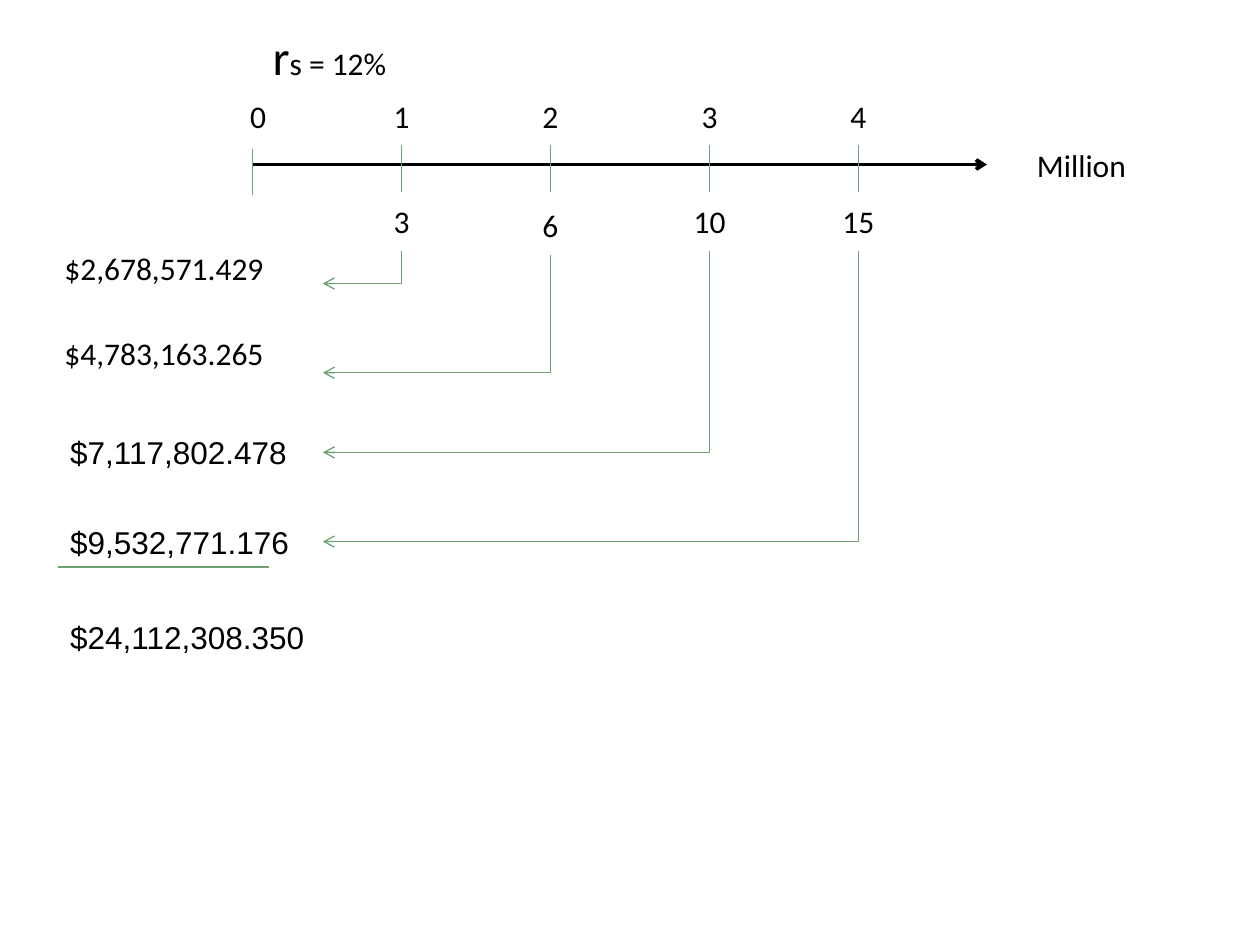
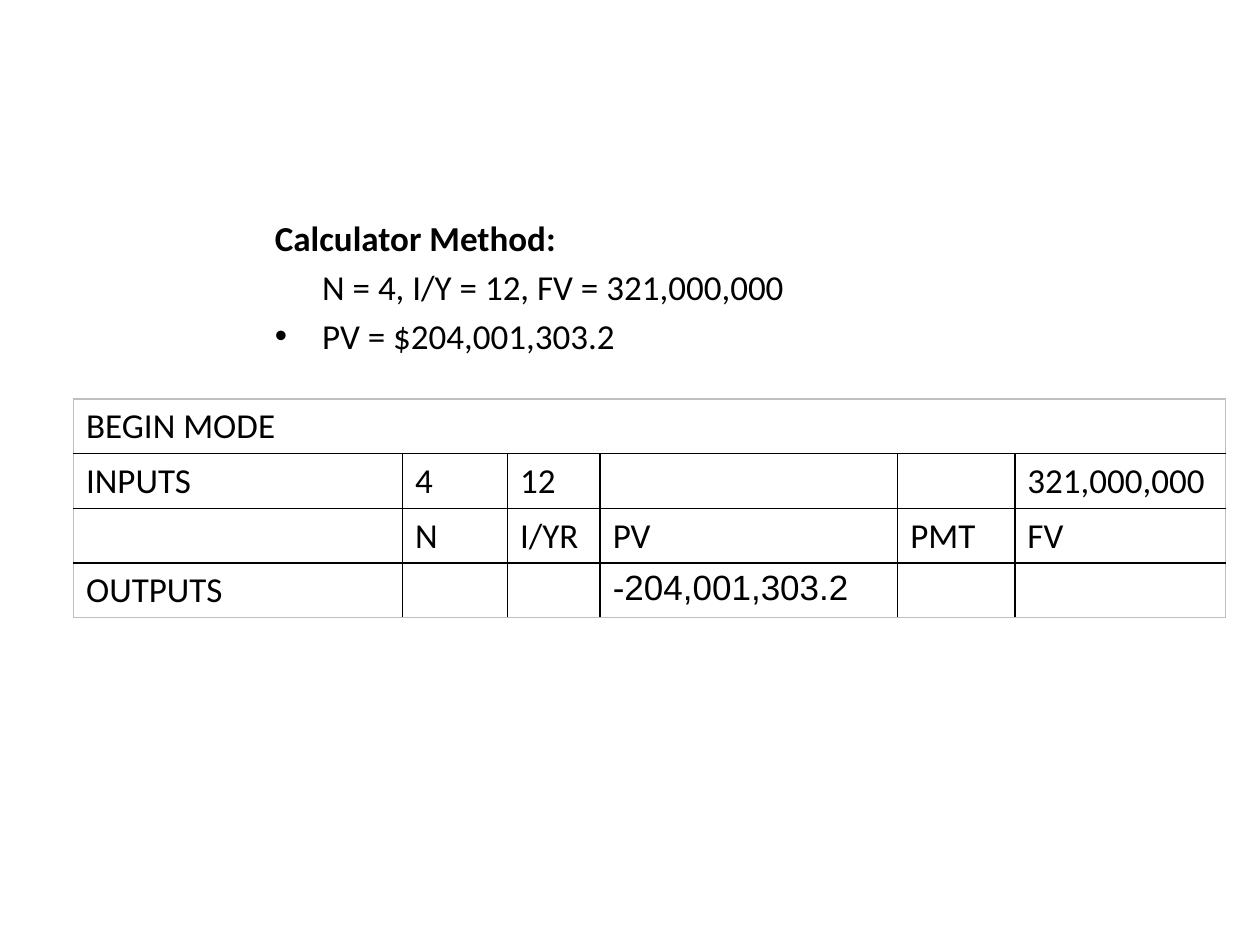
"""Build a present value timeline slide and a calculator method slide."""
import pptx
import pptx.dml.color
import pptx.enum.dml
import pptx.enum.shapes
import pptx.enum.text
import pptx.oxml.ns
import pptx.util
from lxml import etree

Pt = pptx.util.Pt
RGB = pptx.dml.color.RGBColor.from_string
PP_ALIGN = pptx.enum.text.PP_ALIGN
CONNECTOR = pptx.enum.shapes.MSO_CONNECTOR
qn = pptx.oxml.ns.qn
COLORS = {"text": "000000", "line": "6EA172", "grid": "000000", "frame": "BFBFBF"}


def add_text(slide, x, y, w, h, runs, font="Calibri", centered=True):
    sp = slide.shapes.add_textbox(Pt(x), Pt(y), Pt(w), Pt(h))
    tf = sp.text_frame
    tf.word_wrap = centered
    p = tf.paragraphs[0]
    if centered:
        tf.vertical_anchor = pptx.enum.text.MSO_ANCHOR.MIDDLE
        p.alignment = PP_ALIGN.CENTER
    for text, size in runs:
        r = p.add_run()
        r.text = text
        r.font.name, r.font.size = font, Pt(size)
        r.font.color.rgb = RGB(COLORS["text"])
    return sp


def add_line(slide, x1, y1, x2, y2, color="line", width=0.75, arrow=False, kind=CONNECTOR.STRAIGHT):
    c = slide.shapes.add_connector(kind, Pt(x1), Pt(y1), Pt(x2), Pt(y2))
    c.line.color.rgb = RGB(COLORS[color])
    c.line.width = Pt(width)
    if arrow:
        etree.SubElement(c.line._get_or_add_ln(), qn("a:tailEnd"), type="arrow")
    etree.SubElement(c._element.spPr, qn("a:effectLst"))
    return c


prs = pptx.Presentation()
prs.slide_width, prs.slide_height = Pt(720), Pt(540)
blank = prs.slide_layouts[6]

slide = prs.slides.add_slide(blank)
axis_y, label_w, label_h, year_y = 94, 40, 34, 49
arrow_x = 184.5

add_text(slide, 147.5, 15, 81.5, label_h, [("r", 28), ("s = 12%", 18)])
add_text(slide, 127.5, year_y, label_w, label_h, [("0", 18)])
unit = add_text(slide, 564, axis_y - label_h / 2, 108, label_h, [("Million", 18)])
axis = add_line(slide, 144.5, axis_y, 564, axis_y, "text", 2, arrow=True)
axis.end_connect(unit, 1)
add_line(slide, 144.5, 85, 144.5, 111.5)

cash_flows = [
    ("1", "3", 229.5, 109.5, 162),
    ("2", "6", 314.5, 111.5, 213),
    ("3", "10", 405.5, 109.5, 258.5),
    ("4", "15", 490.5, 109.5, 309.5),
]
for year, amount, x, amount_y, arrow_y in cash_flows:
    left = x - label_w / 2
    year_label = add_text(slide, left, year_y, label_w, label_h, [(year, 18)])
    amount_label = add_text(slide, left, amount_y, label_w, label_h, [(amount, 18)])
    tick = add_line(slide, x, year_y + label_h, x, 109.5)
    tick.begin_connect(year_label, 2)
    if amount_y == 109.5:
        tick.end_connect(amount_label, 0)

    start_y = amount_y + label_h
    run, drop = x - arrow_x, arrow_y - start_y
    elbow = add_line(slide, x, start_y, arrow_x, arrow_y, arrow=True, kind=CONNECTOR.ELBOW)
    elbow.begin_connect(amount_label, 2)
    elbow._element.spPr.find(qn("a:prstGeom")).set("prst", "bentConnector2")
    xfrm = elbow._element.spPr.find(qn("a:xfrm"))
    xfrm.attrib.pop("flipH", None)
    xfrm.set("rot", "5400000")
    elbow.left = Pt((x + arrow_x - drop) / 2)
    elbow.top = Pt((start_y + arrow_y - run) / 2)
    elbow.width, elbow.height = Pt(drop), Pt(run)

for value, y in [("$2,678,571.429", 136), ("$4,783,163.265", 184.5)]:
    add_text(slide, 20, y, 147.5, label_h, [(value, 18)])
for value, y, w in [("$7,117,802.478", 244, 139.5), ("$9,532,771.176", 295.5, 141), ("$24,112,308.350", 349.5, 150)]:
    sp = add_text(slide, 33, y, w, 29, [(value, 18)], "Arial", centered=False)
    sp.text_frame.auto_size = pptx.enum.text.MSO_AUTO_SIZE.SHAPE_TO_FIT_TEXT
add_line(slide, 33, 324, 154, 324)

slide = prs.slides.add_slide(blank)
method = slide.shapes.add_textbox(Pt(150), Pt(120), Pt(648), Pt(356.5))
tf = method.text_frame
tf.word_wrap = True
lines = [
    ("Calculator Method:", 0, 0, True, None),
    ("N = 4, I/Y = 12, FV = 321,000,000", 27, 0, False, None),
    ("PV = $204,001,303.2", 27, -27, False, "•"),
]
for i, (text, margin, indent, bold, bullet) in enumerate(lines):
    p = tf.paragraphs[0] if i == 0 else tf.add_paragraph()
    p.text = text
    p.space_before = Pt(4)
    font = p.runs[0].font
    font.name, font.size, font.bold = "Calibri", Pt(20), bold
    font.color.rgb = RGB(COLORS["text"])
    pPr = p._p.get_or_add_pPr()
    pPr.set("marL", str(Pt(margin)))
    pPr.set("indent", str(Pt(indent)))
    if bullet:
        etree.SubElement(pPr, qn("a:buFont"), typeface="Arial")
        etree.SubElement(pPr, qn("a:buChar"), char=bullet)

rows = [
    ["BEGIN MODE", "", "", "", "", ""],
    ["INPUTS", "4", "12", "", "", "321,000,000"],
    ["", "N", "I/YR", "PV", "PMT", "FV"],
    ["OUTPUTS", "", "", "-204,001,303.2", "", ""],
]
widths = [188, 60, 53, 170, 67, 120.5]
table = slide.shapes.add_table(len(rows), len(widths), Pt(42), Pt(228), Pt(sum(widths)), Pt(125)).table
table.first_row = table.horz_banding = False
for column, width in zip(table.columns, widths):
    column.width = Pt(width)
for i, row in enumerate(rows):
    table.rows[i].height = Pt(31.2)
    for j, text in enumerate(row):
        cell = table.cell(i, j)
        cell.text = text
        for r in cell.text_frame.paragraphs[0].runs:
            r.font.name = "Arial" if text.startswith("-") else "Calibri"
            r.font.size = Pt(20)
            r.font.color.rgb = RGB(COLORS["text"])
        tcPr = cell._tc.get_or_add_tcPr()
        outer = {"L": j == 0, "R": j == len(widths) - 1 or i == 0, "T": i == 0, "B": i == len(rows) - 1}
        for side, is_outer in outer.items():
            ln = etree.SubElement(tcPr, qn(f"a:ln{side}"), w=str(Pt(1)))
            fill = etree.SubElement(ln, qn("a:solidFill"))
            etree.SubElement(fill, qn("a:srgbClr"), val=COLORS["frame" if is_outer else "grid"])
        cell.fill.background()
table.cell(0, 0).merge(table.cell(0, len(widths) - 1))

prs.save("out.pptx")
